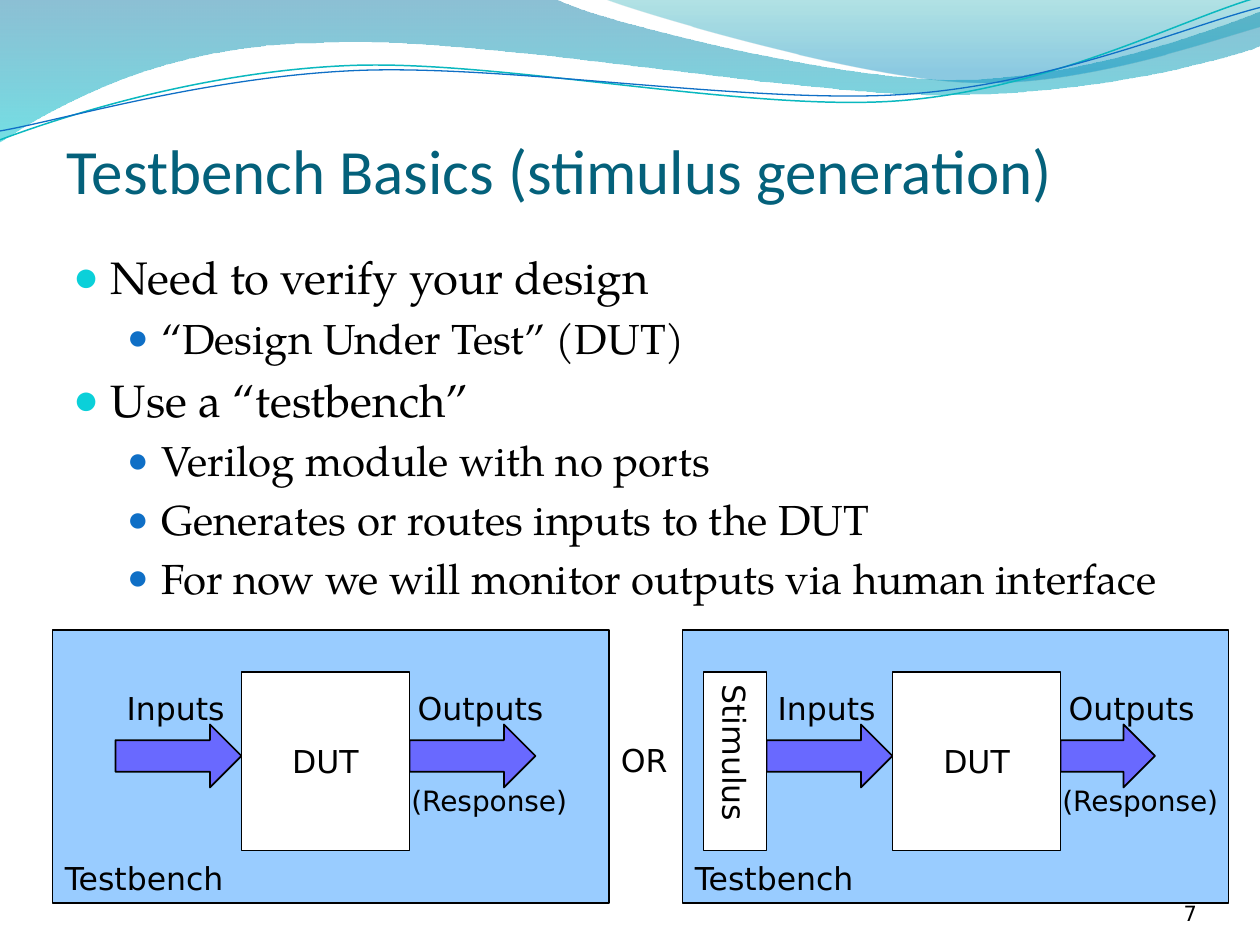
from math import cos, radians, sin

from lxml import etree
from pptx import Presentation
from pptx.dml.color import RGBColor
from pptx.enum.shapes import MSO_SHAPE
from pptx.enum.text import MSO_ANCHOR, MSO_AUTO_SIZE, PP_ALIGN
from pptx.oxml.ns import qn
from pptx.util import Inches, Pt

RECTANGLE, RIGHT_ARROW = MSO_SHAPE.RECTANGLE, MSO_SHAPE.RIGHT_ARROW
LEFT, CENTER, RIGHT = PP_ALIGN.LEFT, PP_ALIGN.CENTER, PP_ALIGN.RIGHT
TOP, MIDDLE, BOTTOM = MSO_ANCHOR.TOP, MSO_ANCHOR.MIDDLE, MSO_ANCHOR.BOTTOM
LABEL_FONT, BODY_FONT, TITLE_FONT = "DejaVu Sans", "TeX Gyre Pagella", "Calibri"
BLACK, WHITE, PANEL_BLUE, ARROW_BLUE = "000000", "FFFFFF", "99CCFF", "6969FF"
GRID = 1 / 12  # the diagrams sit on a grid of twelfths of an inch
TILT = -2.7

# Content
TITLE = "Testbench Basics (stimulus generation)"
BULLETS = [
    (0, "Need to verify your design"),
    (1, "“Design Under Test” (DUT)"),
    (0, "Use a “testbench”"),
    (1, "Verilog module with no ports"),
    (1, "Generates or routes inputs to the DUT"),
    (1, "For now we will monitor outputs via human interface"),
]
# Per level: text size, left margin, hanging indent, bullet colour, bullet size %
LEVELS = [(26, 0.3, 0.3, "0BD0D9", 95), (24, 0.7, 0.27, "0F6FC6", 85)]
# In grid steps: panel left, panel width, DUT left, output arrow length
DIAGRAMS = [(5, 53, 23, 12), (65, 52, 85, 9)]

# Waves: start point, then segments of one (line) or three (Bezier) points
WAVE_FILLS = [
    ((0, -0.01), [
        [(4.4, -0.01)],
        [(4.76, 0.17), (6.64, 0.63), (7.58, 0.63)],
        [(8.53, 0.63), (9.58, 0.26), (10, 0.09)],
        [(10.01, 0.36)],
        [(9.83, 0.44), (8.7, 0.76), (7.46, 0.75)],
        [(6.22, 0.75), (3.82, 0.28), (2.57, 0.34)],
        [(1.29, 0.35), (0.46, 0.83), (-0.01, 1.13)],
        [(0, -0.01)],
    ], [(0, "0074A1", 45), (1, "00C6CF", 55)]),
    ((4.79, -0.01), [
        [(5.09, 0.11), (6.82, 0.62), (7.69, 0.65)],
        [(8.56, 0.69), (9.61, 0.32), (10, 0.21)],
        [(10, 0)],
        [(4.79, -0.01)],
    ], [(0, "00A1A9", 30), (0.8, "008BBF", 45)]),
]
# Start, segments, centre of the tilt, colour, width
WAVE_LINES = [
    ((0, 1.11), [
        [(0.48, 0.93), (1.58, 0.57), (2.77, 0.52)],
        [(3.95, 0.47), (5.93, 0.89), (7.13, 0.8)],
        [(8.33, 0.71), (9.38, 0.15), (9.98, -0.02)],
    ], (4.99, 0.58), "0AB8BF", 0.85),
    ((0, 1.04), [
        [(0.47, 0.96), (1.64, 0.61), (2.83, 0.56)],
        [(4.03, 0.51), (5.97, 0.83), (7.17, 0.75)],
        [(8.36, 0.67), (9.41, 0.21), (10, 0.06)],
    ], (5, 0.59), "0F6FC6", 0.75),
]


def color(value):
    return RGBColor.from_string(value)


def style(paragraph, size, font=LABEL_FONT, ink=BLACK, align=LEFT):
    paragraph.alignment = align
    paragraph.font.size = Pt(size)
    paragraph.font.name = font
    paragraph.font.color.rgb = color(ink)


def place(shape, left, top, width, height):
    shape.left, shape.top = Inches(left), Inches(top)
    shape.width, shape.height = Inches(width), Inches(height)
    slide.shapes._spTree.append(shape._element)  # in front of the waves


def add_block(kind, left, top, width, height, fill, text=""):
    """Add a preset shape, measured in grid steps."""
    shape = slide.shapes.add_shape(
        kind, *(Inches(steps * GRID) for steps in (left, top, width, height)))
    shape.shadow.inherit = False
    shape.fill.solid()
    shape.fill.fore_color.rgb = color(fill)
    shape.line.color.rgb = color(BLACK)
    shape.line.width = Pt(1)
    if text:
        frame = shape.text_frame
        frame.text = text
        frame.word_wrap = False
        frame.vertical_anchor = MIDDLE
        style(frame.paragraphs[0], 18, align=CENTER)
    return shape


def add_label(text, left, top, width, height=0.4, size=18):
    box = slide.shapes.add_textbox(
        Inches(left), Inches(top), Inches(width), Inches(height))
    frame = box.text_frame
    frame.text = text
    frame.word_wrap = False
    style(frame.paragraphs[0], size)
    return box


def rotate(point, center, degrees):
    x, y = point[0] - center[0], point[1] - center[1]
    c, s = cos(radians(degrees)), sin(radians(degrees))
    return center[0] + x * c - y * s, center[1] + x * s + y * c


def add_wave(start, segments, close):
    points = [start] + [point for segment in segments for point in segment]
    vertices = [(Inches(x), Inches(y)) for x, y in points]
    builder = slide.shapes.build_freeform(*vertices[0], scale=1.0)
    builder.add_line_segments(vertices[1:], close=close)
    shape = builder.convert_to_shape()
    shape.shadow.inherit = False
    # Join each three lines into one Bezier segment
    lines = iter(list(shape._element.iter(qn("a:lnTo"))))
    for segment in segments:
        first, *others = [next(lines) for _ in segment]
        if others:
            first.tag = qn("a:cubicBezTo")
        for line in others:
            first.append(line[0])
            line.getparent().remove(line)
    return shape


def add_bullet(paragraph, level):
    size, margin, hanging, ink, percent = LEVELS[level]
    properties = paragraph._p.get_or_add_pPr()
    properties.set("marL", str(Inches(margin)))
    properties.set("indent", str(-Inches(hanging)))
    bullet_color = etree.SubElement(properties, qn("a:buClr"))
    etree.SubElement(bullet_color, qn("a:srgbClr"), val=ink)
    etree.SubElement(properties, qn("a:buSzPct"), val=str(percent * 1000))
    etree.SubElement(properties, qn("a:buChar"), char="●")
    paragraph.level = level
    style(paragraph, size, BODY_FONT)


presentation = Presentation()
presentation.slide_width, presentation.slide_height = Inches(10), Inches(7.5)
slide = presentation.slides.add_slide(presentation.slide_layouts[1])
title, body = slide.placeholders

# Waves along the top
for start, segments, stops in WAVE_FILLS:
    wave = add_wave(start, segments, True)
    wave.line.fill.background()
    wave.fill.gradient()
    wave.fill.gradient_angle = 270
    for stop, (position, ink, _) in zip(wave.fill.gradient_stops, stops):
        stop.position = position
        stop.color.rgb = color(ink)
    for element, (_, _, opacity) in zip(wave._element.spPr.iter(qn("a:srgbClr")), stops):
        etree.SubElement(element, qn("a:alpha"), val=str(opacity * 1000))
for start, segments, center, ink, width in WAVE_LINES:
    level_segments = [[rotate(point, center, -TILT) for point in segment]
                      for segment in segments]
    wave = add_wave(rotate(start, center, -TILT), level_segments, False)
    wave.rotation = TILT
    wave.fill.background()
    wave.line.color.rgb = color(ink)
    wave.line.width = Pt(width)

# Title
place(title, 0.53, 0.39, 9, 1.25)
frame = title.text_frame
frame.text = TITLE
frame.auto_size = MSO_AUTO_SIZE.NONE
frame.vertical_anchor = BOTTOM
frame.margin_left = frame.margin_right = frame.margin_bottom = 0
style(frame.paragraphs[0], 36, TITLE_FONT, "04617B")

# Bullet list
place(body, 0.48, 1.93, 9, 4.8)
frame = body.text_frame
frame.text = "\n".join(text for _, text in BULLETS)
frame.auto_size = MSO_AUTO_SIZE.NONE
frame.vertical_anchor = TOP
for index, (level, _) in enumerate(BULLETS):
    paragraph = frame.paragraphs[index]
    add_bullet(paragraph, level)
    paragraph.space_before = Pt(0.2 * LEVELS[level][0] if index else 0)

# Testbench diagrams, laid out around each DUT
for left, width, dut, output_length in DIAGRAMS:
    add_block(RECTANGLE, left, 60, width, 26, PANEL_BLUE)
    add_block(RIGHT_ARROW, dut - 12, 69, 12, 6, ARROW_BLUE)
    add_block(RIGHT_ARROW, dut + 16, 69, output_length, 6, ARROW_BLUE)
    add_block(RECTANGLE, dut, 64, 16, 17, WHITE, "DUT")
    add_label("Inputs", dut * GRID - 1.01, 5.42, 1.01)
    add_label("Outputs", dut * GRID + 1.3, 5.42, 1.2)
    add_label("(Response)", dut * GRID + 1.25, 6.17, 1.47, 0.37, 16)
    add_label("Testbench", left * GRID, 6.77, 1.49)
stimulus = add_block(RECTANGLE, 67, 64, 6, 17, WHITE, "Stimulus")
stimulus.text_frame._txBody.bodyPr.set("vert", "eaVert")
add_label("OR", 4.83, 5.83, 0.57)

# Slide number
number = add_label("7", 8.67, 6.95, 0.83, size=12)
frame = number.text_frame
frame.word_wrap = True
frame.vertical_anchor = BOTTOM
frame.margin_left = frame.margin_right = frame.margin_top = frame.margin_bottom = 0
frame.paragraphs[0].alignment = RIGHT

presentation.save("out.pptx")
